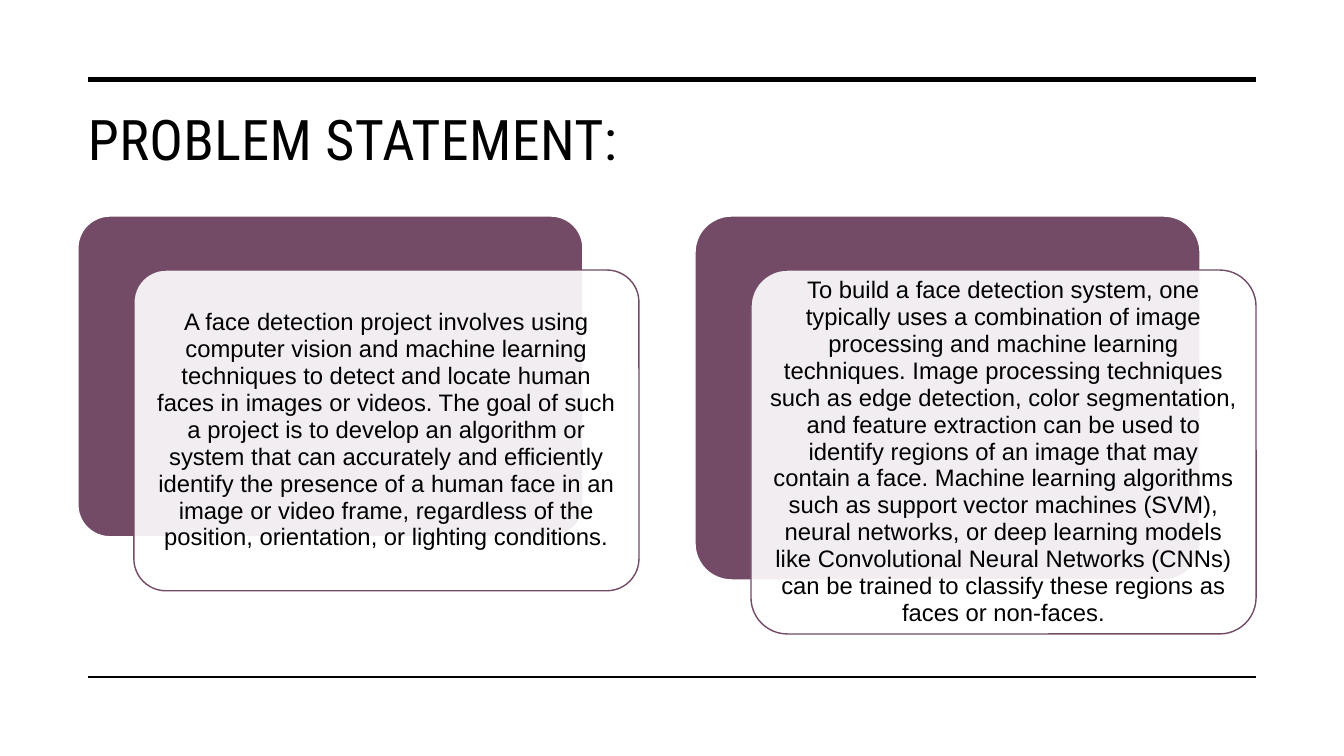
from pptx import Presentation
from pptx.dml.color import RGBColor
from pptx.enum.shapes import MSO_CONNECTOR, MSO_SHAPE
from pptx.enum.text import MSO_ANCHOR, MSO_AUTO_SIZE, PP_ALIGN
from pptx.oxml.ns import qn
from pptx.util import Inches, Pt
from lxml.etree import SubElement


def rgb(value):
    return RGBColor.from_string(value)


class Deck:
    """Holds the style, the current slide and its grid of 24 columns by 14 rows."""

    ink, plum, paper = "000000", "734B67", "FFFFFF"
    heading, body = "Roboto Condensed", "Arial"

    def __init__(self, prs):
        self.s = prs.slides.add_slide(prs.slide_layouts[5])
        self.col, self.row = prs.slide_width / 24, prs.slide_height / 14

    def grid(self, *lengths):
        return [round(n * (self.row if i % 2 else self.col)) for i, n in enumerate(lengths)]

    def font(self, p, name, size):
        p.font.name, p.font.size = name, Pt(size)
        p.font.color.rgb = rgb(self.ink)

    def title(self, text, *at):
        sp = self.s.shapes.title
        sp.left, sp.top, sp.width, sp.height = self.grid(*at)
        tf = sp.text_frame
        tf.text, tf.word_wrap = text, True
        tf.auto_size, tf.vertical_anchor = MSO_AUTO_SIZE.NONE, MSO_ANCHOR.TOP
        p = tf.paragraphs[0]
        p.alignment = PP_ALIGN.LEFT
        self.font(p, self.heading, 40)
        p.runs[0].font._element.set("spc", "30")

    def rule(self, left, right, y, weight):
        ln = self.s.shapes.add_connector(MSO_CONNECTOR.STRAIGHT, *self.grid(left, y, right, y))
        ln.line.color.rgb, ln.line.width = rgb(self.ink), Pt(weight)
        SubElement(ln._element.spPr, qn("a:effectLst"))

    def panel(self, at, fill, line, alpha=100):
        sp = self.s.shapes.add_shape(MSO_SHAPE.ROUNDED_RECTANGLE, *self.grid(*at))
        sp.adjustments[0] = 0.1
        sp.shadow.inherit = False
        sp.fill.solid()
        sp.fill.fore_color.rgb = rgb(fill)
        sp.line.color.rgb, sp.line.width = rgb(line), Pt(1)
        if alpha < 100:
            color = sp._element.spPr.find(qn("a:solidFill"))[0]
            SubElement(color, qn("a:alpha"), val=str(alpha * 1000))
        return sp

    def card(self, x, y, w, h, text):
        self.panel((x, y, w, h), self.plum, self.paper)
        sp = self.panel((x + 1, y + 1, w, h), self.paper, self.plum, 90)
        tf = sp.text_frame
        tf.text, tf.word_wrap, tf.vertical_anchor = text, True, MSO_ANCHOR.MIDDLE
        tf.margin_left = tf.margin_right = tf.margin_top = tf.margin_bottom = Inches(0.07)
        p = tf.paragraphs[0]
        p.alignment, p.line_spacing = PP_ALIGN.CENTER, 0.94
        self.font(p, self.body, 17)


CARDS = [
    (5.94, "A face detection project involves using computer vision and machine learning "
           "techniques to detect and locate human faces in images or videos. The goal of such "
           "a project is to develop an algorithm or system that can accurately and efficiently "
           "identify the presence of a human face in an image or video frame, regardless of the "
           "position, orientation, or lighting conditions."),
    (6.74, "To build a face detection system, one typically uses a combination of image "
           "processing and machine learning techniques. Image processing techniques such as "
           "edge detection, color segmentation, and feature extraction can be used to identify "
           "regions of an image that may contain a face. Machine learning algorithms such as "
           "support vector machines (SVM), neural networks, or deep learning models like "
           "Convolutional Neural Networks (CNNs) can be trained to classify these regions as "
           "faces or non-faces."),
]


def main():
    prs = Presentation()
    prs.slide_width, prs.slide_height = Inches(13.33), Inches(7.5)
    deck = Deck(prs)
    deck.title("PROBLEM STATEMENT:", 1.39, 1.85, 21.04, 2.35)
    for y, weight in ((1.47, 3.5), (12.54, 1)):
        deck.rule(1.58, 22.43, y, weight)
    for i, (height, text) in enumerate(CARDS):
        deck.card(1.39 + 11.02 * i, 4, 9.02, height, text)
    prs.save("out.pptx")


if __name__ == "__main__":
    main()
